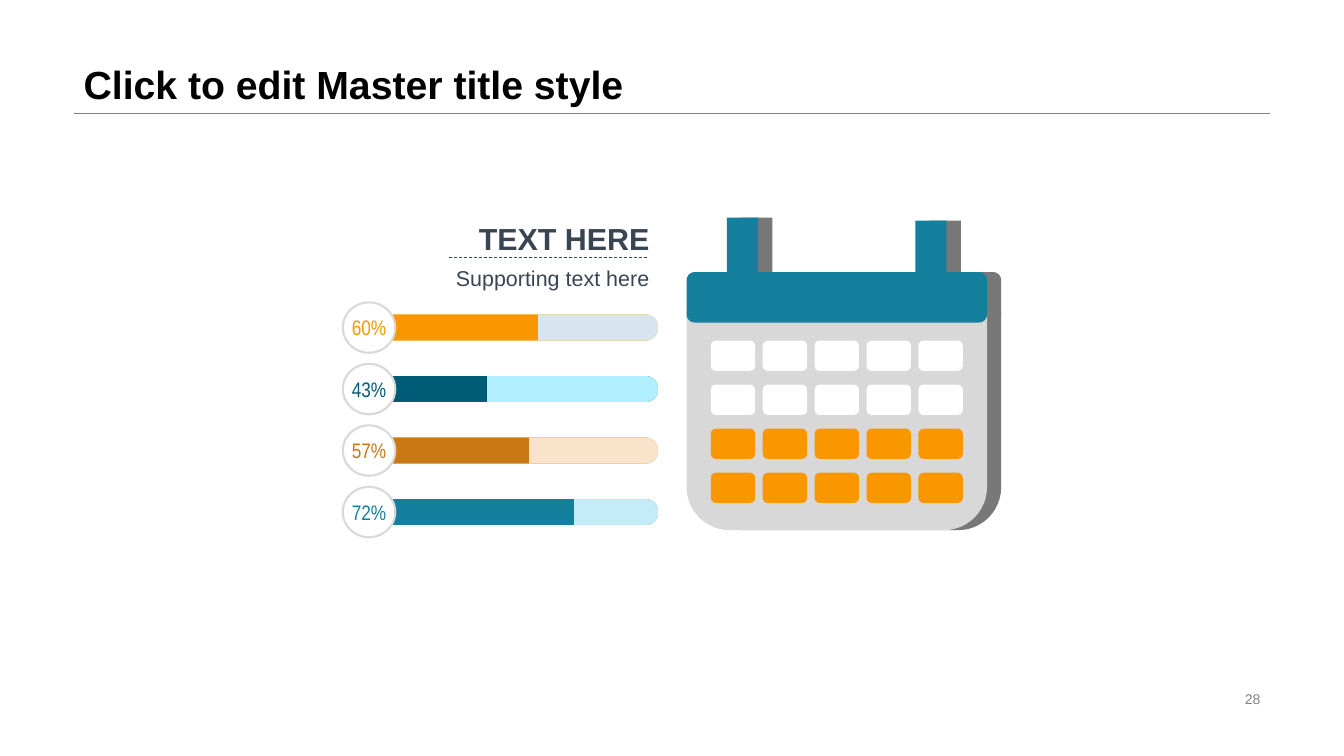
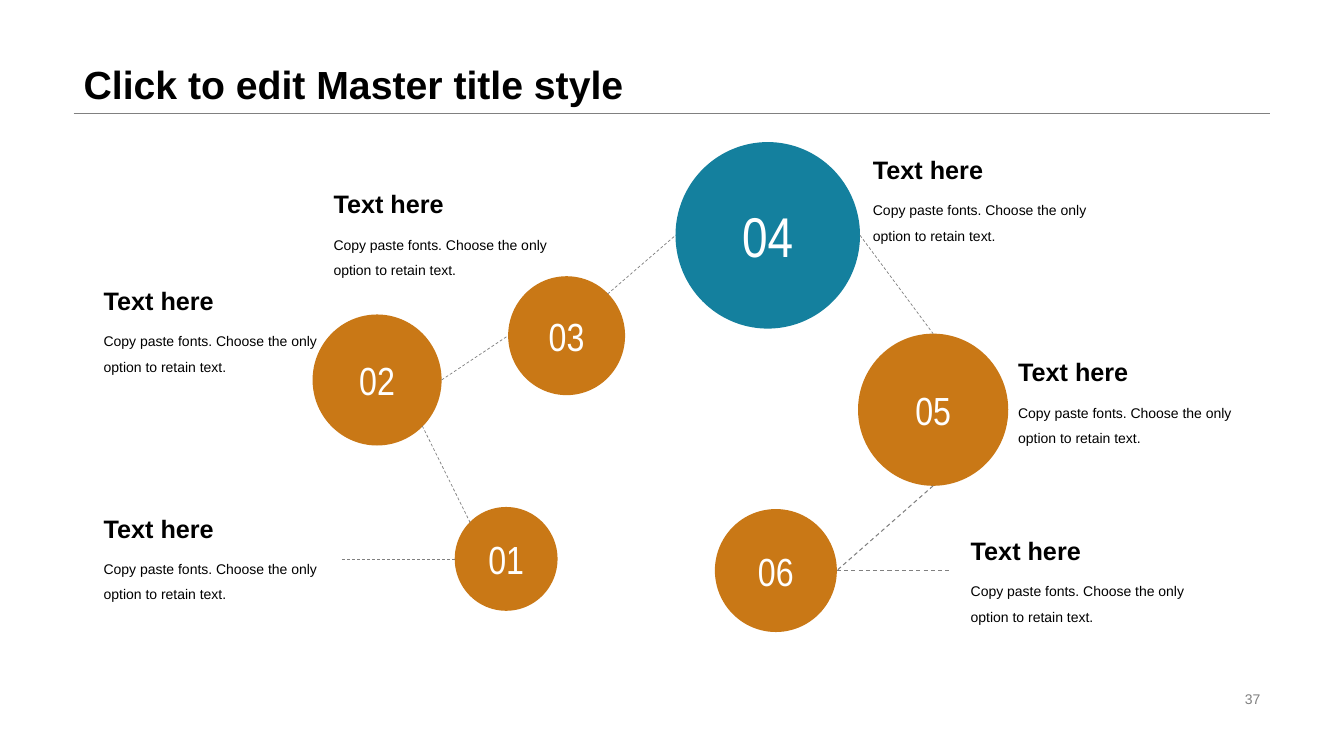
from copy import deepcopy
from dataclasses import dataclass
from math import cos, radians, sin

from lxml.etree import SubElement
from pptx import Presentation
from pptx.dml.color import RGBColor as RGB
from pptx.enum.dml import MSO_LINE as Dash
from pptx.enum.shapes import MSO_CONNECTOR as Conn, MSO_SHAPE as Kind
from pptx.enum.text import MSO_ANCHOR as Anchor, PP_ALIGN as Align
from pptx.oxml.ns import qn
from pptx.util import Inches, Pt


@dataclass(frozen=True)
class Theme:
    face: str = "Arial"
    slim: str = "Arial Narrow"
    black: str = "000000"
    white: str = "FFFFFF"
    gray: str = "808080"
    shade: str = "787878"
    pale: str = "D8D8D8"
    ring: str = "D9D9D9"
    slate: str = "3A4554"
    teal: str = "14809E"
    deep: str = "005C76"
    amber: str = "FA9600"
    brown: str = "C97816"
    title: float = 28
    head: float = 21.7
    lead: float = 15.3
    rate: float = 15
    label: float = 18
    small: float = 10
    disc: float = 28
    main: float = 40


T = Theme()


def paint(shape, fill):
    """Give a shape a plain fill without outline or shadow."""
    shape.fill.solid()
    shape.fill.fore_color.rgb = RGB.from_string(fill)
    shape.line.fill.background()
    shape.shadow.inherit = False
    return shape


def write(shape, text, size, color, face=T.face, bold=False,
          align=Align.LEFT, anchor=Anchor.TOP, space=1.0, wrap=True):
    """Fill a shape with one formatted paragraph."""
    frame = shape.text_frame
    frame.word_wrap = wrap
    frame.vertical_anchor = anchor
    frame.text = text
    para = frame.paragraphs[0]
    para.alignment = align
    para.line_spacing = space
    font = para.font
    font.name, font.size, font.bold = face, Pt(size), bold
    font.color.rgb = RGB.from_string(color)


deck = Presentation()
deck.slide_width, deck.slide_height = Inches(13.33), Inches(7.5)
layout = deck.slide_layouts[5]

# Title and page number
pages = []
for number in ("28", "37"):
    page = deck.slides.add_slide(layout)
    title = page.shapes.title
    title.left, title.top = Inches(0.73), Inches(0)
    title.width, title.height = Inches(11.87), Inches(1.12)
    write(title, "Click to edit Master title style", T.title, T.black,
          bold=True, anchor=Anchor.BOTTOM, space=0.9)
    foot = page.shapes.add_textbox(*map(Inches, (9.42, 6.82, 3.18, 0.23)))
    write(foot, number, T.small, T.gray, align=Align.RIGHT,
          anchor=Anchor.MIDDLE)
    pages.append(page)
plan, route = pages

# Calendar: each layer is a body and a header band with two tabs
tabs = [(7.21, 2.7), (7.21, 2.16), (7.52, 2.16), (7.52, 2.7),
        (9.08, 2.7), (9.08, 2.19), (9.39, 2.19), (9.39, 2.7)]
turns = [(9.71, 2.78, -90), (9.71, 3.12, 0),
         (6.89, 3.12, 90), (6.89, 2.78, 180)]
radius = 0.08
band = tabs + [(x + radius * cos(radians(start + step)),
                y + radius * sin(radians(start + step)))
               for x, y, start in turns for step in range(0, 91, 15)]

for shift, body, top in ((0.14, T.shade, T.shade), (0, T.pale, T.teal)):
    box = map(Inches, (6.81 + shift, 2.7, 2.98, 2.56))
    paint(plan.shapes.add_shape(Kind.ROUNDED_RECTANGLE, *box), body)
    spots = [(Inches(x + shift), Inches(y)) for x, y in band]
    form = plan.shapes.build_freeform(*spots[0])
    form.add_line_segments(spots[1:], close=True)
    paint(form.convert_to_shape(), top)

for row, fill in enumerate((T.white, T.white, T.amber, T.amber)):
    for col in range(5):
        box = map(Inches, (7.05 + col * 2.06 / 4, 3.38 + row * 1.31 / 3,
                           0.44, 0.3))
        paint(plan.shapes.add_shape(Kind.ROUNDED_RECTANGLE, *box), fill)

# Progress bars
rates = [(60, T.amber, "D8E4F0"), (43, T.deep, "B1EEFF"),
         (57, T.brown, "F9E4CB"), (72, T.teal, "C4ECF8")]
for row, (rate, full, rest) in enumerate(rates):
    mid = 3.25 + row * 0.61
    box = map(Inches, (3.54, mid - 0.13, 2.99, 0.26))
    bar = paint(plan.shapes.add_shape(Kind.ROUNDED_RECTANGLE, *box), full)
    bar.adjustments[0] = 0.5
    bar.fill.gradient()
    bar.fill.gradient_angle = 0
    first, last = [stop._gs for stop in bar.fill.gradient_stops]
    first.addnext(deepcopy(first))
    last.addprevious(deepcopy(last))
    stops = ((0, full), (rate, full), (rate, rest), (100, rest))
    for stop, (place, color) in zip(bar.fill.gradient_stops, stops):
        stop.position = place / 100
        stop.color.rgb = RGB.from_string(color)

    box = map(Inches, (3.4, mid - 0.25, 0.52, 0.5))
    knob = paint(plan.shapes.add_shape(Kind.OVAL, *box), T.white)
    knob.line.color.rgb = RGB.from_string(T.ring)
    knob.line.width = Pt(1.5)
    frame = knob.text_frame
    frame.margin_left = frame.margin_right = 0
    frame.margin_top = frame.margin_bottom = 0
    write(knob, f"{rate}%", T.rate, full, T.slim, align=Align.CENTER,
          anchor=Anchor.MIDDLE, wrap=False)

for text, top, high, size, bold, anchor in (
        ("Supporting text here", 2.58, 0.3, T.lead, False, Anchor.TOP),
        ("TEXT HERE", 2.16, 0.41, T.head, True, Anchor.MIDDLE)):
    box = plan.shapes.add_textbox(*map(Inches, (4.04, top, 2.5, high)))
    write(box, text, size, T.slate, bold=bold, align=Align.RIGHT,
          anchor=anchor)

# Numbered discs
discs = {"01": (4.51, 5.03, 1.02, 1.03), "02": (3.1, 3.12, 1.28, 1.3),
         "03": (5.04, 2.74, 1.16, 1.18), "04": (6.7, 1.41, 1.83, 1.85),
         "05": (8.51, 3.31, 1.49, 1.51), "06": (7.09, 5.05, 1.21, 1.22)}
for name, box in discs.items():
    fill, size = (T.teal, T.main) if name == "04" else (T.brown, T.disc)
    disc = paint(route.shapes.add_shape(Kind.OVAL, *map(Inches, box)), fill)
    write(disc, name, size, T.white, T.slim, align=Align.CENTER,
          anchor=Anchor.MIDDLE, wrap=False)

# Labels
for left, top in ((0.93, 5.04), (10, 3.49), (0.93, 2.78),
                  (3.21, 1.82), (8.56, 1.48), (9.53, 5.26)):
    head = route.shapes.add_textbox(*map(Inches, (left, top, 2.4, 0.38)))
    write(head, "Text here", T.label, T.black, bold=True)
    note = route.shapes.add_textbox(
        *map(Inches, (left, top + 0.39, 2.4, 0.61)))
    write(note, "Copy paste fonts. Choose the only option to retain text.",
          T.small, T.black, space=1.5)

# Lines: links join points given as shares of each disc's width and height
lines = [(plan, (0.73, 1.12, 12.6, 1.12), T.gray, 0.25, Dash.SOLID),
         (plan, (4.45, 2.55, 6.43, 2.55), T.slate, 0.5, Dash.DASH),
         (route, (4.51, 5.55, 3.38, 5.55), T.gray, 0.5, Dash.DASH),
         (route, (8.3, 5.66, 9.42, 5.66), T.gray, 0.75, Dash.DASH)]
links = [("01", 0.15, 0.15, "02", 0.85, 0.85, 0.5),
         ("02", 1, 0.5, "03", 0, 0.5, 0.5),
         ("03", 0.85, 0.15, "04", 0, 0.5, 0.5),
         ("04", 1, 0.5, "05", 0.5, 0, 0.5),
         ("05", 0.5, 1, "06", 1, 0.5, 0.75)]
for one, across, down, two, over, under, width in links:
    left, top, wide, high = discs[one]
    ends = [left + across * wide, top + down * high]
    left, top, wide, high = discs[two]
    ends += [left + over * wide, top + under * high]
    lines.append((route, ends, T.gray, width, Dash.DASH))

for page, ends, color, width, dash in lines:
    line = page.shapes.add_connector(Conn.STRAIGHT, *map(Inches, ends))
    line.line.color.rgb = RGB.from_string(color)
    line.line.width = Pt(width)
    line.line.dash_style = dash
    SubElement(line.element.spPr, qn("a:effectLst"))
    if dash == Dash.SOLID:
        # The title rule belongs to the layout that both slides share
        layout.shapes.element.append(line.element)

deck.save("out.pptx")
